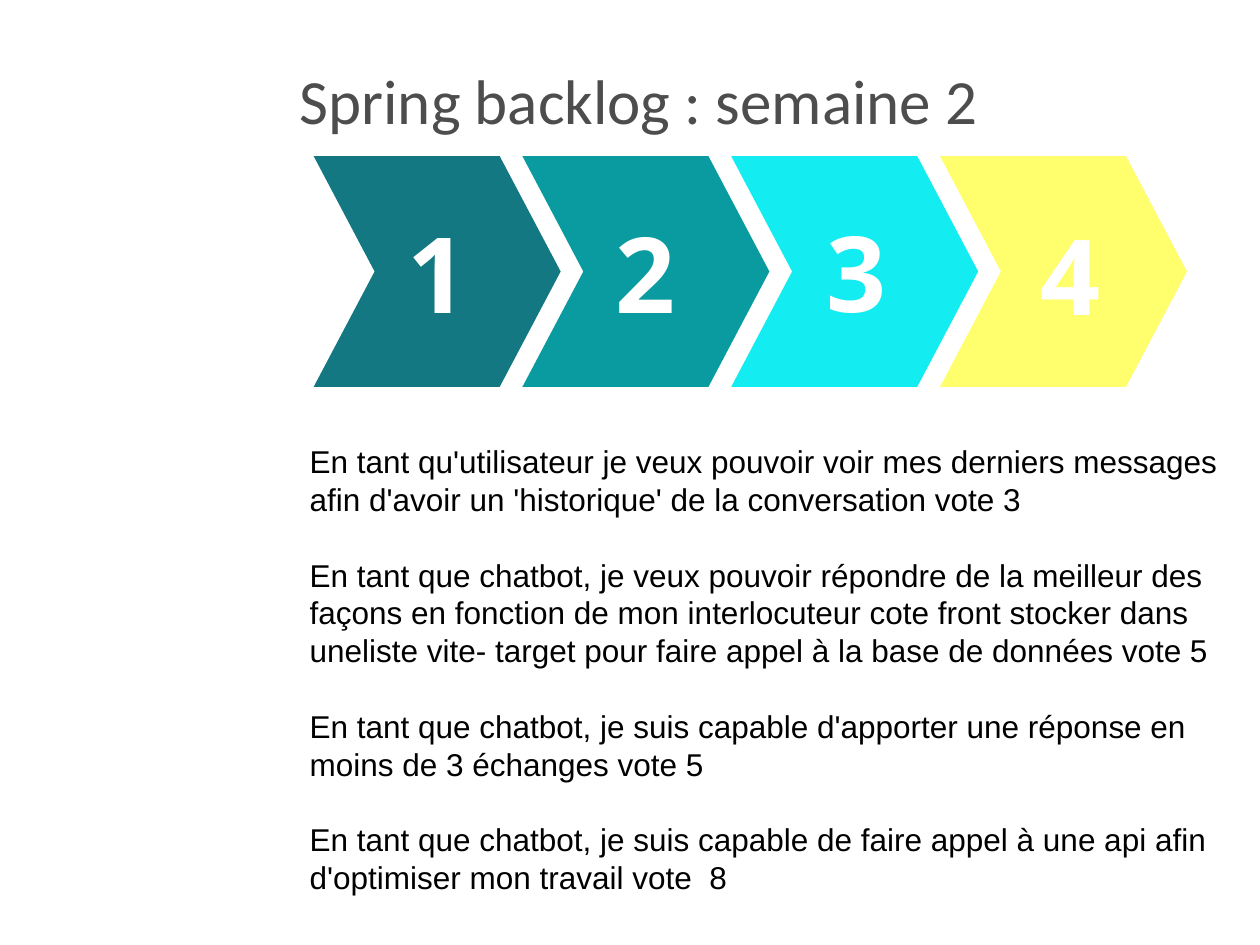
import pptx
import pptx.dml.color
import pptx.enum.shapes
import pptx.enum.text
import pptx.util
from dataclasses import dataclass
from typing import Optional

WIDTH, HEIGHT = 10, 7.5
STEP_LEFT, STEP_TOP, STEP_PITCH = 2.49, 1.24, 1.657
STEP_WIDTH, STEP_HEIGHT = 1.96, 1.83
NUMBER_INSET, NUMBER_WIDTH = 0.68, 0.75
STORY_LINE = 21.6


@dataclass(frozen=True)
class Style:
    font: str
    size: float
    color: str
    bold: bool = False


@dataclass(frozen=True)
class Step:
    number: str
    fill: str
    box_top: Optional[float] = None
    box_height: float = 0
    box_shift: float = 0


TITLE = Style("Calibri", 36, "4D4D4D")
NUMBER = Style("Open Sans", 60, "FFFFFF", True)
STORY = Style("Arial", 18, "000000")

STEPS = [
    Step("1", "147882"),
    Step("2", "099B9F"),
    Step("3", "13ECF1", 1.6, 1.27, -0.02),
    Step("4", "FFFF6D", 1.62, 1.49, 0.02),
]

STORIES = [
    "En tant qu'utilisateur je veux pouvoir voir mes derniers messages afin d'avoir un 'historique' de la conversation vote 3",
    "En tant que chatbot, je veux pouvoir répondre de la meilleur des façons en fonction de mon interlocuteur cote front stocker dans uneliste vite- target pour faire appel à la base de données vote 5",
    "En tant que chatbot, je suis capable d'apporter une réponse en moins de 3 échanges vote 5",
    "En tant que chatbot, je suis capable de faire appel à une api afin d'optimiser mon travail vote  8",
]


def color(value: str) -> pptx.dml.color.RGBColor:
    return pptx.dml.color.RGBColor.from_string(value)


def place(left: float, top: float, width: float, height: float) -> list:
    return [pptx.util.Inches(length) for length in (left, top, width, height)]


def write(frame, texts: list[str], style: Style, line: Optional[float] = None) -> None:
    frame.word_wrap = True
    for index, text in enumerate(texts):
        para = frame.add_paragraph() if index else frame.paragraphs[0]
        para.text = text
        para.font.name = style.font
        para.font.size = pptx.util.Pt(style.size)
        para.font.bold = style.bold
        para.font.color.rgb = color(style.color)
        if line:
            para.line_spacing = pptx.util.Pt(line)
            if index:
                para.space_before = pptx.util.Pt(line)


def add_text(page, area: list, texts: list[str], style: Style, line: Optional[float] = None):
    box = page.shapes.add_textbox(*area)
    write(box.text_frame, texts, style, line)
    return box


def add_step(page, step: Step, column: int) -> None:
    left = STEP_LEFT + column * STEP_PITCH
    chevron = page.shapes.add_shape(
        pptx.enum.shapes.MSO_SHAPE.CHEVRON,
        *place(left, STEP_TOP, STEP_WIDTH, STEP_HEIGHT),
    )
    chevron.adjustments[0] = 0.264
    chevron.shadow.inherit = False
    chevron.fill.solid()
    chevron.fill.fore_color.rgb = color(step.fill)
    chevron.line.fill.background()
    if step.box_top is None:
        write(chevron.text_frame, [step.number], NUMBER)
        chevron.text_frame.paragraphs[0].alignment = pptx.enum.text.PP_ALIGN.CENTER
    else:
        area = place(
            left + NUMBER_INSET + step.box_shift,
            step.box_top,
            NUMBER_WIDTH,
            step.box_height,
        )
        add_text(page, area, [step.number], NUMBER)


def main() -> None:
    deck = pptx.Presentation()
    deck.slide_width = pptx.util.Inches(WIDTH)
    deck.slide_height = pptx.util.Inches(HEIGHT)
    page = deck.slides.add_slide(deck.slide_layouts[6])

    title = add_text(page, place(2.28, 0.4, 7.16, 0.78), ["Spring backlog : semaine 2"], TITLE)
    title.text_frame.vertical_anchor = pptx.enum.text.MSO_ANCHOR.MIDDLE
    for column, step in enumerate(STEPS):
        add_step(page, step, column)
    add_text(page, place(2.36, 3.46, 7.8, 2.99), STORIES, STORY, STORY_LINE)

    deck.save("out.pptx")


if __name__ == "__main__":
    main()
